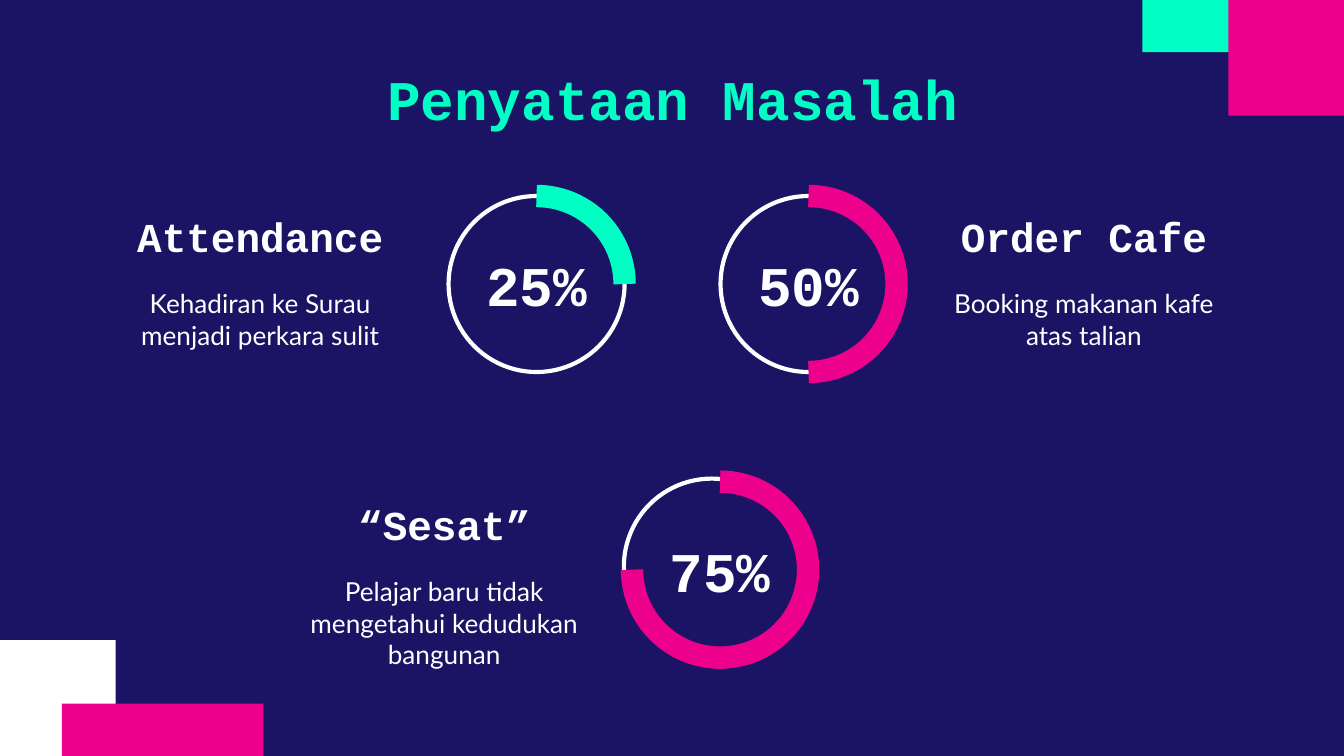
import pptx
import pptx.util
import pptx.dml.color
import pptx.enum.shapes
import pptx.enum.text

Pt = pptx.util.Pt
Shape = pptx.enum.shapes.MSO_SHAPE
Anchor = pptx.enum.text.MSO_ANCHOR
HEAD, BODY = "Courier New", "Lato"
COLORS = {"navy": "1B1464", "mint": "00FFC5", "pink": "EC008C", "white": "FFFFFF"}
RING = 94.3


def color(name):
    return pptx.dml.color.RGBColor.from_string(COLORS[name])


def write(shape, text, size, font, tint="white", anchor=Anchor.TOP, inset=7.2):
    frame = shape.text_frame
    frame.word_wrap = True
    frame.auto_size = pptx.enum.text.MSO_AUTO_SIZE.NONE
    frame.vertical_anchor = anchor
    frame.margin_left = frame.margin_right = Pt(7.2)
    frame.margin_top = frame.margin_bottom = Pt(inset)
    line = frame.paragraphs[0]
    line.alignment = pptx.enum.text.PP_ALIGN.CENTER
    run = line.add_run()
    run.text = text
    run.font.size = Pt(size)
    run.font.name = font
    run.font.bold = font == HEAD
    run.font.color.rgb = color(tint)


def add_text(slide, box, *args, **style):
    write(slide.shapes.add_textbox(*map(Pt, box)), *args, **style)


def add_title(slide, box, text):
    title = slide.shapes.title
    title.left, title.top, title.width, title.height = map(Pt, box)
    write(title, text, 30, HEAD, "mint")


def add_curve(slide, kind, box, tint, width):
    curve = slide.shapes.add_shape(kind, *map(Pt, box))
    curve.shadow.inherit = False
    curve.fill.background()
    curve.line.color.rgb = color(tint)
    curve.line.width = Pt(width)
    return curve


def add_ring(slide, box, share, tint, shift):
    left, top, wide, high = box
    add_curve(slide, Shape.OVAL, box, "white", 2.25)
    left, top = left + shift[0], top + shift[1]
    arc = add_curve(slide, Shape.ARC, (left, top, wide, high), tint, 12)
    arc.adjustments[0] = 162
    arc.adjustments[1] = 216 * share - 54
    add_text(slide, (left, top + 31.2, wide, 32.4), f"{share:.0%}", 30, HEAD,
             anchor=Anchor.MIDDLE, inset=0)


def add_topic(slide, box, head, body):
    left, top, wide, high = box
    split = 42
    add_text(slide, (left, top + split, wide, high - split), body, 14, BODY)
    add_text(slide, (left, top, wide, split), head, 22, HEAD, anchor=Anchor.BOTTOM)


def add_block(slide, box, tint):
    block = slide.shapes.add_shape(Shape.RECTANGLE, *map(Pt, box))
    block.shadow.inherit = False
    block.fill.solid()
    block.fill.fore_color.rgb = color(tint)
    block.line.fill.background()


def add_corners(slide, box):
    left, top, wide, high = box
    side, long, thin = 62, 108, 28
    right, base = left + wide, top + high
    add_block(slide, (right - long, top, long, thin), "mint")
    add_block(slide, (left, base - side, side, side), "white")
    add_block(slide, (left + 33.2, base - thin, long, thin), "pink")
    add_block(slide, (right - side, top, side, side), "pink")


def main():
    deck = pptx.Presentation()
    deck.slide_width, deck.slide_height = Pt(720), Pt(405)
    slide = deck.slides.add_slide(deck.slide_layouts[5])
    slide.background.fill.solid()
    slide.background.fill.fore_color.rgb = color("navy")

    add_title(slide, (56.9, 27.4, 607, 52.6), "Penyataan Masalah")
    topics = [
        ("Attendance", "Kehadiran ke Surau menjadi perkara sulit",
         (56.9, 105), (240.3, 105), 0.25, "mint", (0, 0)),
        ("Order Cafe", "Booking makanan kafe atas talian",
         (498.2, 105), (386, 105), 0.5, "pink", (0, 0)),
        ("“Sesat”", "Pelajar baru tidak mengetahui kedudukan bangunan",
         (155.5, 259.2), (334.2, 256.4), 0.75, "pink", (4.4, 1.6)),
    ]
    for head, body, spot, ring, share, tint, shift in topics:
        add_ring(slide, (*ring, RING, RING), share, tint, shift)
        add_topic(slide, (*spot, 165, RING), head, body)
    add_corners(slide, (0, 0, 720, 405))
    deck.save("out.pptx")


if __name__ == "__main__":
    main()
